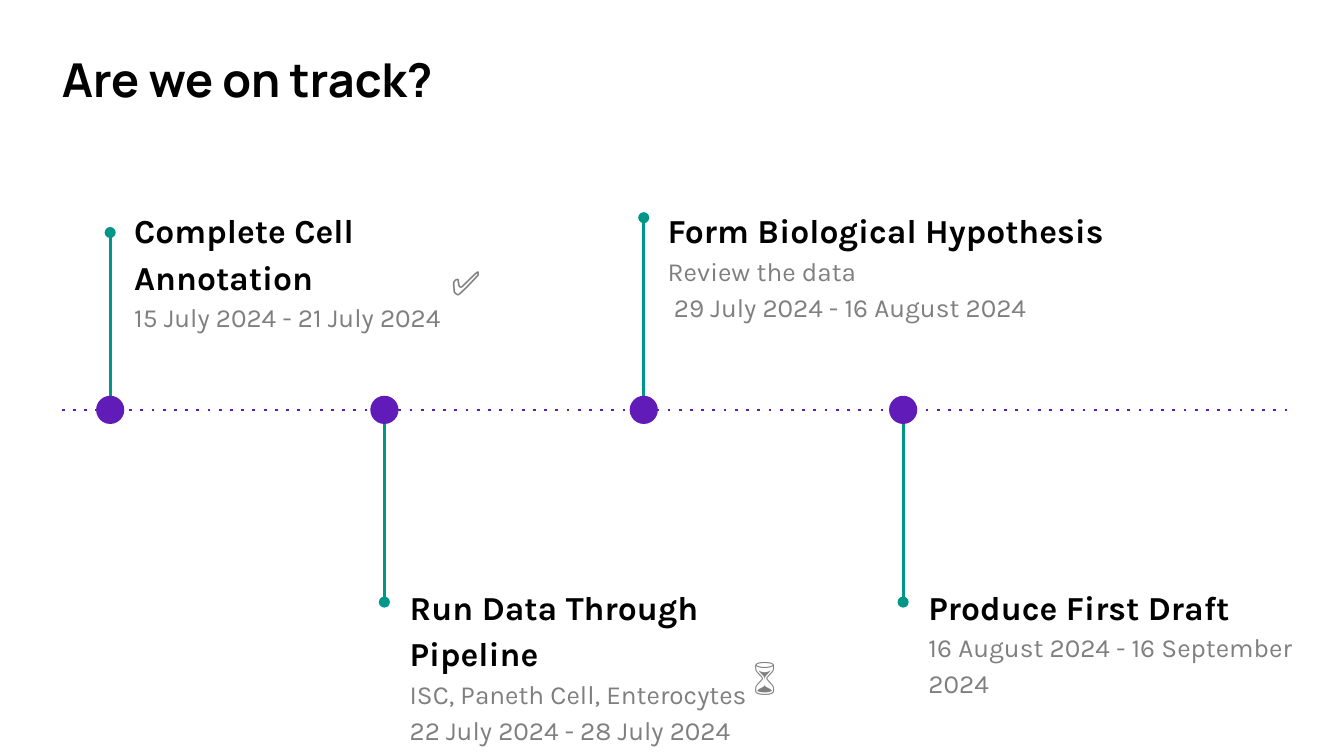
import dataclasses

import pptx
import pptx.dml.color
import pptx.enum.shapes
import pptx.enum.text
import pptx.oxml
import pptx.oxml.ns
import pptx.util

Inches = pptx.util.Inches
Pt = pptx.util.Pt


@dataclasses.dataclass(frozen=True)
class Theme:
    ink: str = "000000"
    muted: str = "7F7F7F"
    axis: str = "611BB8"
    stem: str = "009688"
    title_font: str = "Manrope"
    body_font: str = "Karla"
    title_size: int = 25
    heading_size: int = 18
    detail_size: int = 14
    line_width: float = 1.5


THEME = Theme()
AXIS_Y = 3.05
DOT = 0.21
STATUS_SIZE = (0.74, 0.55)

TITLE = dict(name=THEME.title_font, size=Pt(THEME.title_size), bold=True, color=THEME.ink)
HEADING = dict(name=THEME.body_font, size=Pt(THEME.heading_size), bold=True, color=THEME.ink)
DETAIL = dict(name=THEME.body_font, size=Pt(THEME.detail_size), bold=False, color=THEME.muted)
STATUS = dict(name=THEME.body_font, size=Pt(THEME.heading_size), bold=False, color=THEME.muted)

# Stem x, stem end y, text box, heading, details, status mark and its position
MILESTONES = [
    (0.82, 1.73, (0.9, 1.42, 3.15, 1.06), "Complete Cell Annotation",
     ["15 July 2024 - 21 July 2024"], ("✅", 3.26, 1.85)),
    (2.86, 4.48, (2.95, 4.22, 3.3, 1.06), "Run Data Through Pipeline",
     ["ISC, Paneth Cell, Enterocytes", "22 July 2024 - 28 July 2024"], ("⌛", 5.51, 4.77)),
    (4.79, 1.62, (4.87, 1.42, 3.7, 1.06), "Form Biological Hypothesis",
     ["Review the data", " 29 July 2024 - 16 August 2024"], None),
    (6.72, 4.48, (6.81, 4.22, 3.15, 1.06), "Produce First Draft",
     ["16 August 2024 - 16 September 2024"], None),
]


def rgb(value):
    return pptx.dml.color.RGBColor.from_string(value)


def write(frame, lines, spacing=1.0):
    """Fill a text frame with (text, style) lines, one paragraph each."""
    frame.word_wrap = True
    frame.auto_size = pptx.enum.text.MSO_AUTO_SIZE.NONE
    frame.vertical_anchor = pptx.enum.text.MSO_ANCHOR.TOP
    for side in ("left", "top", "right", "bottom"):
        setattr(frame, f"margin_{side}", Inches(0.1))
    for index, (text, style) in enumerate(lines):
        paragraph = frame.add_paragraph() if index else frame.paragraphs[0]
        paragraph.alignment = pptx.enum.text.PP_ALIGN.LEFT
        paragraph.line_spacing = spacing
        run = paragraph.add_run()
        run.text = text
        for key, value in style.items():
            if key == "color":
                run.font.color.rgb = rgb(value)
            else:
                setattr(run.font, key, value)


def add_text(slide, box, lines, spacing=1.0):
    textbox = slide.shapes.add_textbox(*map(Inches, box))
    write(textbox.text_frame, lines, spacing)


def add_line(slide, start, end, color):
    line = slide.shapes.add_connector(
        pptx.enum.shapes.MSO_CONNECTOR.STRAIGHT, *map(Inches, (*start, *end)))
    line.line.color.rgb = rgb(color)
    line.line.width = Pt(THEME.line_width)
    line._element.spPr.append(pptx.oxml.parse_xml(
        f'<a:effectLst {pptx.oxml.ns.nsdecls("a")}/>'))
    return line


def add_line_detail(line, tag, attribute, value):
    """Append a dash or line-end element to a connector's line."""
    line.line._get_or_add_ln().append(pptx.oxml.parse_xml(
        f'<a:{tag} {pptx.oxml.ns.nsdecls("a")} {attribute}="{value}"/>'))


def add_title(slide, box, text):
    title = slide.shapes.title
    title.left, title.top, title.width, title.height = map(Inches, box)
    write(title.text_frame, [(text, TITLE)])


def add_axis(slide, left, right):
    axis = add_line(slide, (left, AXIS_Y), (right, AXIS_Y), THEME.axis)
    add_line_detail(axis, "prstDash", "val", "dot")


def add_milestone(slide, x, end_y, box, heading, details, status):
    # Stem with a round tip, leaving the edge of the axis dot
    radius = DOT / 2
    start_y = AXIS_Y + (radius if end_y > AXIS_Y else -radius)
    stem = add_line(slide, (x, start_y), (x, end_y), THEME.stem)
    add_line_detail(stem, "tailEnd", "type", "oval")

    # Dot on the axis
    dot = slide.shapes.add_shape(
        pptx.enum.shapes.MSO_SHAPE.OVAL,
        *map(Inches, (x - radius, AXIS_Y - radius, DOT, DOT)))
    dot.shadow.inherit = False
    dot.fill.solid()
    dot.fill.fore_color.rgb = rgb(THEME.axis)
    dot.line.fill.background()

    # Heading, details and status mark
    lines = [(heading, HEADING)] + [(detail, DETAIL) for detail in details]
    add_text(slide, box, lines, spacing=1.15)
    if status:
        mark, left, top = status
        add_text(slide, (left, top, *STATUS_SIZE), [(mark, STATUS)])


def main():
    deck = pptx.Presentation()
    # Widescreen, 16:9
    deck.slide_width = Inches(10)
    deck.slide_height = deck.slide_width * 9 // 16
    slide = deck.slides.add_slide(deck.slide_layouts.get_by_name("Title Only"))
    add_title(slide, (0.36, 0.28, 9.32, 0.68), "Are we on track?")
    add_axis(slide, 0.46, 9.58)
    for milestone in MILESTONES:
        add_milestone(slide, *milestone)
    deck.save("out.pptx")


if __name__ == "__main__":
    main()
